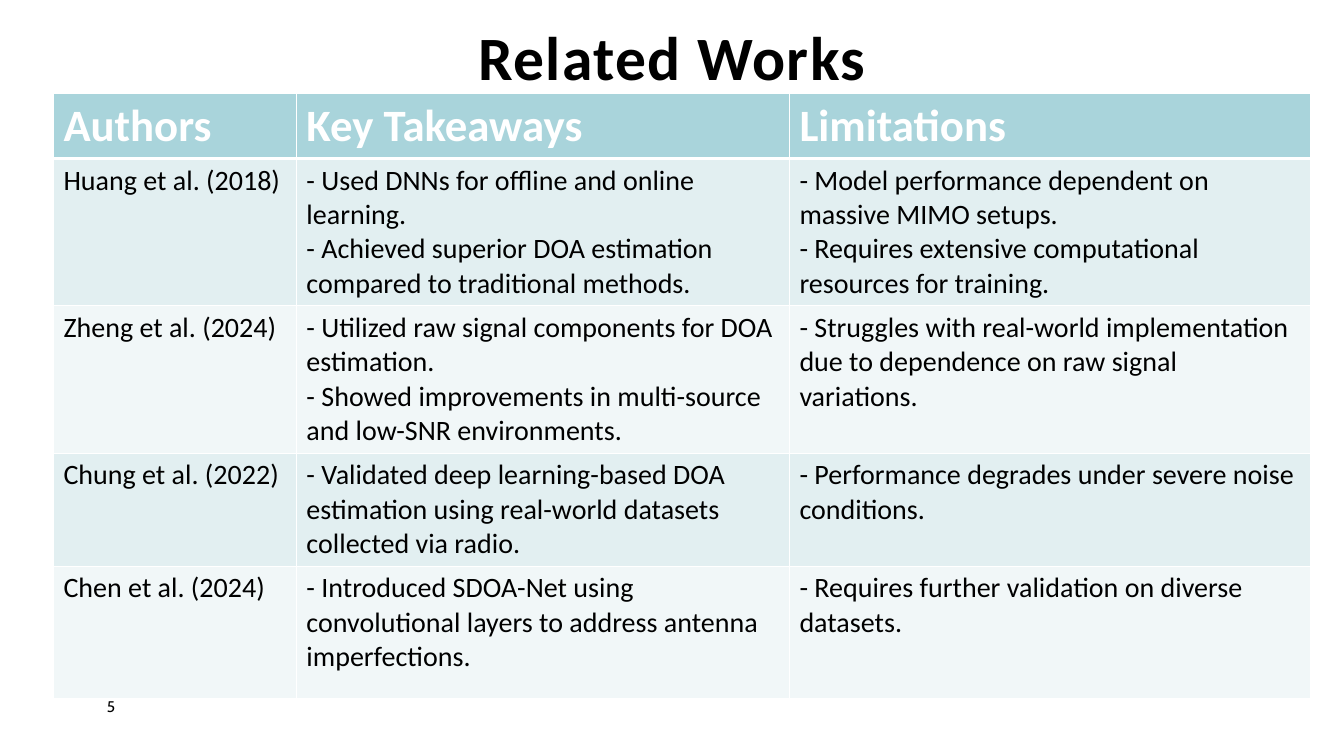
from lxml import etree
from pptx import Presentation
from pptx.dml.color import RGBColor
from pptx.enum.text import MSO_ANCHOR, MSO_AUTO_SIZE, PP_ALIGN
from pptx.oxml.ns import qn
from pptx.util import Pt

PX = 9144
COLORS = {"ink": "000000", "header": "A9D4DB", "header_text": "FFFFFF",
          "rule": "FFFFFF", "odd_row": "E2EFF1", "even_row": "F1F7F8"}
COLUMN_WIDTHS = [241, 489, 517]
ROW_HEIGHTS = [58, 131, 131, 100, 131]
WORKS = [
    ["Authors", "Key Takeaways", "Limitations"],
    ["Huang et al. (2018)",
     "- Used DNNs for offline and online learning. \n"
     "- Achieved superior DOA estimation compared to traditional methods.",
     "- Model performance dependent on massive MIMO setups. \n"
     "- Requires extensive computational resources for training."],
    ["Zheng et al. (2024)",
     "- Utilized raw signal components for DOA estimation. \n"
     "- Showed improvements in multi-source and low-SNR environments.",
     "- Struggles with real-world implementation due to dependence on raw signal variations."],
    ["Chung et al. (2022)",
     "- Validated deep learning-based DOA estimation using real-world datasets collected via radio.",
     "- Performance degrades under severe noise conditions."],
    ["Chen et al. (2024)",
     "- Introduced SDOA-Net using convolutional layers to address antenna imperfections.",
     "- Requires further validation on diverse datasets."],
]


def add_text(paragraph, text, size, color, font="Calibri", bold=False):
    for index, line in enumerate(text.split("\n")):
        if index:
            paragraph.add_line_break()
        run = paragraph.add_run()
        run.text = line
        run.font.name = font
        run.font.size = Pt(size)
        run.font.bold = bold
        run.font.color.rgb = RGBColor.from_string(COLORS[color])
    return run


def clear_margins(frame):
    frame.margin_left = frame.margin_right = 0
    frame.margin_top = frame.margin_bottom = 0
    frame.word_wrap = True
    frame.auto_size = MSO_AUTO_SIZE.NONE


presentation = Presentation()
presentation.slide_width = 1333 * PX
presentation.slide_height = 750 * PX
slide = presentation.slides.add_slide(presentation.slide_layouts[5])

heading = slide.shapes.title
heading.left, heading.top = 440 * PX, 26 * PX
heading.width, heading.height = 453 * PX, 67 * PX
clear_margins(heading.text_frame)
heading.text_frame.vertical_anchor = MSO_ANCHOR.BOTTOM
heading_line = heading.text_frame.paragraphs[0]
heading_line.alignment = PP_ALIGN.CENTER
heading_line.line_spacing = 0.9
heading_run = add_text(heading_line, "Related Works", 44, "ink", bold=True)
heading_run.font._element.set("spc", "100")

page_number = slide.shapes.add_textbox(106 * PX, 692 * PX, 57 * PX, 27 * PX)
clear_margins(page_number.text_frame)
add_text(page_number.text_frame.paragraphs[0], "5", 11, "ink", font="Cabin")

works_table = slide.shapes.add_table(
    len(WORKS), len(COLUMN_WIDTHS), 53 * PX, 93 * PX,
    sum(COLUMN_WIDTHS) * PX, sum(ROW_HEIGHTS) * PX).table
for column, width in zip(works_table.columns, COLUMN_WIDTHS):
    column.width = width * PX
for row, height in zip(works_table.rows, ROW_HEIGHTS):
    row.height = height * PX

for row_index, work in enumerate(WORKS):
    is_header = row_index == 0
    row_fill = "header" if is_header else "odd_row" if row_index % 2 else "even_row"
    for column_index, text in enumerate(work):
        cell = works_table.cell(row_index, column_index)
        cell_format = cell._tc.get_or_add_tcPr()
        for side in ("lnL", "lnR", "lnT", "lnB"):
            heavy = (row_index, side) in [(0, "lnB"), (1, "lnT")]
            rule = etree.SubElement(cell_format, qn(f"a:{side}"), w=str(Pt(3 if heavy else 1)))
            rule_fill = etree.SubElement(rule, qn("a:solidFill"))
            etree.SubElement(rule_fill, qn("a:srgbClr"), val=COLORS["rule"])
        cell.fill.solid()
        cell.fill.fore_color.rgb = RGBColor.from_string(COLORS[row_fill])
        add_text(cell.text_frame.paragraphs[0], text, 32 if is_header else 20,
                 "header_text" if is_header else "ink", bold=is_header)
works_table.cell(1, 2).vertical_anchor = MSO_ANCHOR.MIDDLE

presentation.save("out.pptx")
